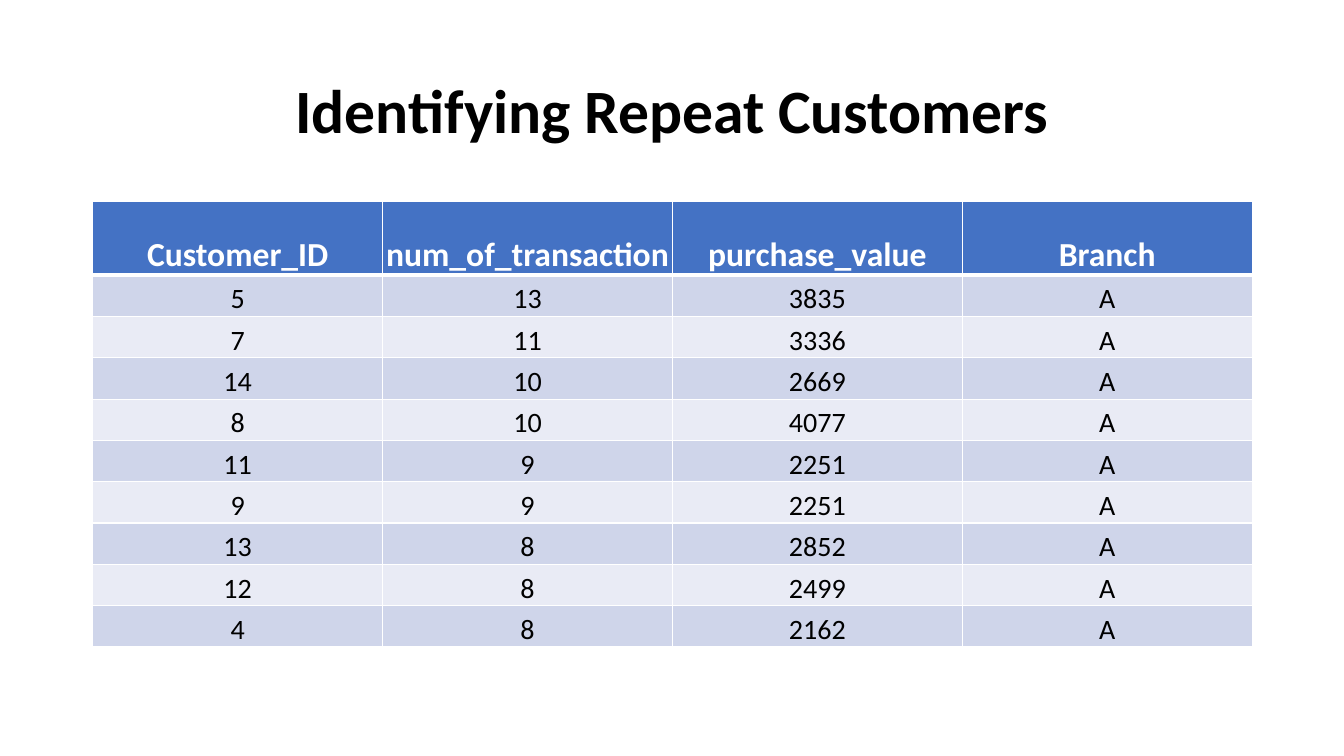
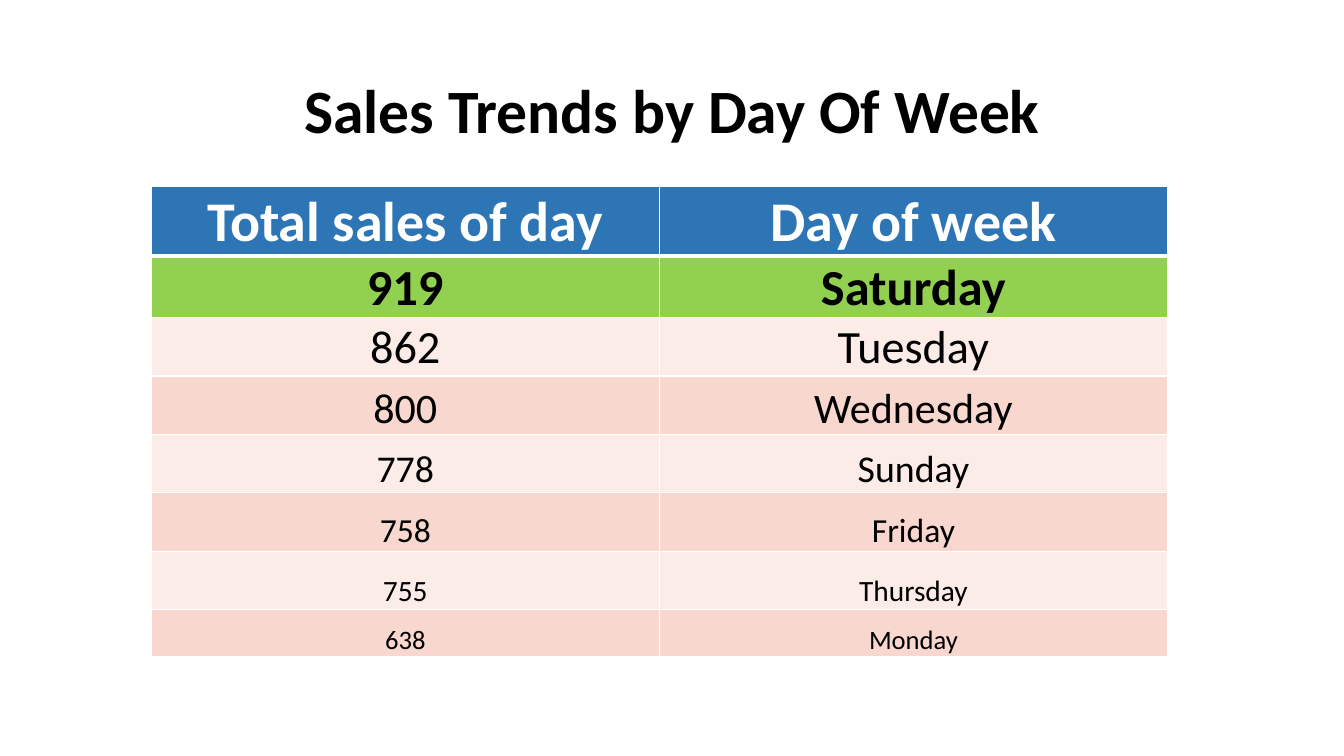
"""Build two slides, each a centred title above a sales table."""
from lxml import etree
from pptx import Presentation
from pptx.dml.color import RGBColor
from pptx.enum.text import MSO_ANCHOR, PP_ALIGN
from pptx.oxml.ns import qn
from pptx.util import Inches, Pt

CENTER = PP_ALIGN.CENTER
MIDDLE, BOTTOM = MSO_ANCHOR.MIDDLE, MSO_ANCHOR.BOTTOM
FONT = "Calibri"
BLANK_LAYOUT = 6
THIN, THICK = 1, 3

COLORS = {
    "black": "000000",
    "white": "FFFFFF",
    "blue": "4472C4",
    "blue_dark": "CFD5EA",
    "blue_light": "E9EBF5",
    "navy": "2E75B6",
    "peach_dark": "F8D7CE",
    "peach_light": "FCECE8",
    "green": "92D050",
}

TITLE_BOX = (0.92, 0.4, 11.5, 1.45)
CELL_MARGINS = {
    "margin_left": Inches(0.01),
    "margin_right": Inches(0.01),
    "margin_top": Inches(0.01),
    "margin_bottom": 0,
}

SLIDES = [
    {
        "title": "Identifying Repeat Customers",
        "position": (0.92, 2),
        "width": 11.5,
        "heights": [0.73] + [0.41] * 9,
        "sizes": [24] + [20] * 9,
        "header_fill": "blue",
        "bands": ("blue_light", "blue_dark"),
        "highlight_row": None,
        "rows": [
            ("Customer_ID", "num_of_transaction", "purchase_value", "Branch"),
            (5, 13, 3835, "A"),
            (7, 11, 3336, "A"),
            (14, 10, 2669, "A"),
            (8, 10, 4077, "A"),
            (11, 9, 2251, "A"),
            (9, 9, 2251, "A"),
            (13, 8, 2852, "A"),
            (12, 8, 2499, "A"),
            (4, 8, 2162, "A"),
        ],
    },
    {
        "title": "Sales Trends by Day Of Week",
        "position": (1.5, 1.85),
        "width": 10.08,
        "heights": [0.69, 0.6] + [0.58] * 5 + [0.46],
        "sizes": [40, 36, 33, 30, 27, 24, 21, 19],
        "header_fill": "navy",
        "bands": ("peach_light", "peach_dark"),
        "highlight_row": 1,
        "rows": [
            ("Total sales of day", "Day of week"),
            (919, "Saturday"),
            (862, "Tuesday"),
            (800, "Wednesday"),
            (778, "Sunday"),
            (758, "Friday"),
            (755, "Thursday"),
            (638, "Monday"),
        ],
    },
]


def rgb(name):
    return RGBColor.from_string(COLORS[name])


def write(paragraph, text, size, color, bold):
    paragraph.text = str(text)
    paragraph.alignment = CENTER
    font = paragraph.font
    run_font = paragraph.runs[0].font
    for target in (font, run_font):
        for name, value in {"name": FONT, "size": Pt(size), "bold": bold}.items():
            setattr(target, name, value)
        target.color.rgb = rgb(color)


def add_title(slide, text):
    box = slide.shapes.add_textbox(*map(Inches, TITLE_BOX))
    frame = box.text_frame
    frame.word_wrap = True
    frame.vertical_anchor = MIDDLE
    paragraph = frame.paragraphs[0]
    paragraph.line_spacing = 0.9
    write(paragraph, text, 44, "black", True)


def set_borders(cell, widths):
    properties = cell._tc.get_or_add_tcPr()
    for side, width in widths.items():
        line = etree.SubElement(properties, qn(f"a:ln{side}"), w=str(Pt(width)))
        fill = etree.SubElement(line, qn("a:solidFill"))
        etree.SubElement(fill, qn("a:srgbClr"), val=COLORS["white"])


def format_cell(cell, fill, row_number):
    set_borders(cell, {
        "L": THIN,
        "R": THIN,
        "T": THICK if row_number == 1 else THIN,
        "B": THICK if row_number == 0 else THIN,
    })
    cell.fill.solid()
    cell.fill.fore_color.rgb = rgb(fill)
    cell.vertical_anchor = BOTTOM
    for name, value in CELL_MARGINS.items():
        setattr(cell, name, value)


def row_fill(content, row_number):
    if row_number == 0:
        return content["header_fill"]
    if row_number == content["highlight_row"]:
        return "green"
    return content["bands"][row_number % 2]


def add_sales_table(slide, content):
    rows, heights = content["rows"], content["heights"]
    column_count = len(rows[0])
    left, top = map(Inches, content["position"])
    width, height = Inches(content["width"]), Inches(sum(heights))
    table = slide.shapes.add_table(
        len(rows), column_count, left, top, width, height).table
    for column in table.columns:
        column.width = width // column_count
    for number, values in enumerate(rows):
        table.rows[number].height = Inches(heights[number])
        is_header = number == 0
        bold = is_header or number == content["highlight_row"]
        color = "white" if is_header else "black"
        for column_number, value in enumerate(values):
            cell = table.cell(number, column_number)
            format_cell(cell, row_fill(content, number), number)
            write(cell.text_frame.paragraphs[0], value,
                  content["sizes"][number], color, bold)


def main():
    presentation = Presentation()
    presentation.slide_width = Inches(13.33)
    presentation.slide_height = Inches(7.5)
    for content in SLIDES:
        slide = presentation.slides.add_slide(
            presentation.slide_layouts[BLANK_LAYOUT])
        add_title(slide, content["title"])
        add_sales_table(slide, content)
    presentation.save("out.pptx")


if __name__ == "__main__":
    main()
